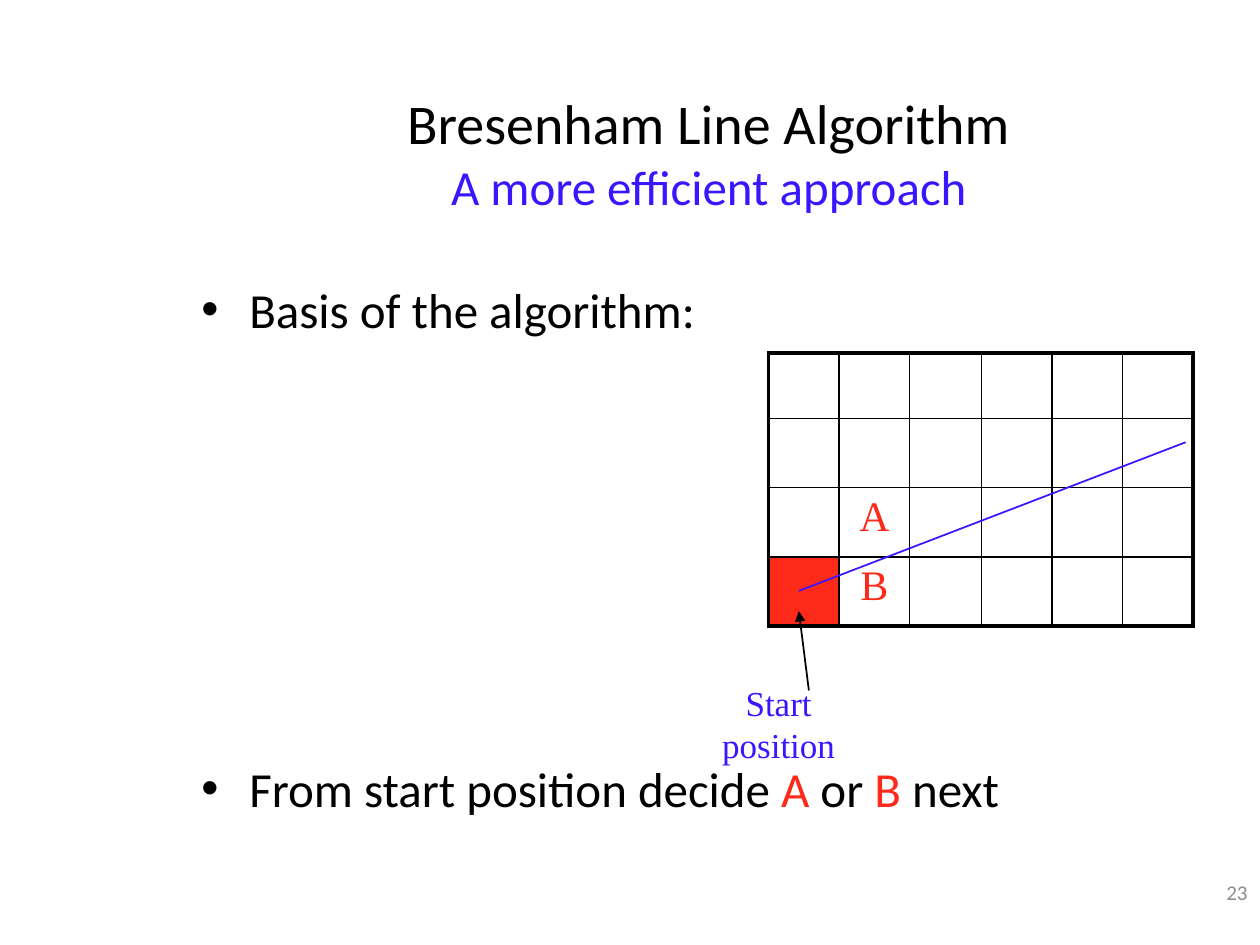
from lxml import etree
from pptx import Presentation
from pptx.dml.color import RGBColor
from pptx.enum.shapes import MSO_CONNECTOR
from pptx.enum.text import MSO_ANCHOR, PP_ALIGN
from pptx.oxml.ns import qn
from pptx.util import Inches, Pt

CENTER, LEFT, RIGHT = PP_ALIGN.CENTER, PP_ALIGN.LEFT, PP_ALIGN.RIGHT
TOP, MIDDLE = MSO_ANCHOR.TOP, MSO_ANCHOR.MIDDLE
STRAIGHT = MSO_CONNECTOR.STRAIGHT
COLORS = {"black": "000000", "blue": "3817FF", "red": "FD2919", "gray": "8C8C8C"}
SANS, SERIF = "Calibri", "Times New Roman"
TITLE_ONLY = 5
COLUMN_WIDTHS = [0.56, 0.56, 0.57, 0.56, 0.56, 0.56]
ROW_HEIGHTS = [0.52, 0.55, 0.55, 0.55]
THIN, THICK = 1, 2.25


def color(name):
    """Return the named colour."""
    return RGBColor.from_string(COLORS[name])


def add_run(paragraph, text, size, color_name="black", font=SANS):
    """Append one formatted run to a paragraph."""
    run = paragraph.add_run()
    run.text = text
    run.font.size = Pt(size)
    run.font.name = font
    run.font.color.rgb = color(color_name)


def add_text_box(slide, left, top, width, height, alignment=LEFT, anchor=TOP):
    """Add a wrapping text box and return its text frame."""
    box = slide.shapes.add_textbox(
        Inches(left), Inches(top), Inches(width), Inches(height))
    frame = box.text_frame
    frame.word_wrap = True
    frame.vertical_anchor = anchor
    frame.paragraphs[0].alignment = alignment
    return frame


def make_bullet(paragraph):
    """Give a paragraph a hanging round bullet."""
    properties = paragraph._p.get_or_add_pPr()
    properties.set("marL", str(Inches(0.38)))
    properties.set("indent", str(-Inches(0.38)))
    etree.SubElement(properties, qn("a:buFont"), typeface="Arial")
    etree.SubElement(properties, qn("a:buChar"), char="•")


def set_border(cell, side, width):
    """Draw one black border of a cell; side is L, R, T or B."""
    line = etree.SubElement(
        cell._tc.get_or_add_tcPr(), qn(f"a:ln{side}"), w=str(Pt(width)))
    fill = etree.SubElement(line, qn("a:solidFill"))
    etree.SubElement(fill, qn("a:srgbClr"), val=COLORS["black"])


def add_line(slide, start, end, color_name, arrow=False):
    """Add a thin straight line, with an arrowhead at its end if asked."""
    points = [Inches(value) for value in (*start, *end)]
    connector = slide.shapes.add_connector(STRAIGHT, *points)
    connector.line.color.rgb = color(color_name)
    connector.line.width = Pt(THIN)
    if arrow:
        etree.SubElement(
            connector.line._get_or_add_ln(), qn("a:tailEnd"), type="triangle")
    etree.SubElement(connector._element.spPr, qn("a:effectLst"))


def add_title(slide):
    """Place the title with its blue second line."""
    title = slide.shapes.title
    title.left, title.top = Inches(1.5), Inches(0.58)
    title.width, title.height = Inches(8.25), Inches(1.25)
    title.text_frame.vertical_anchor = MIDDLE
    paragraph = title.text_frame.paragraphs[0]
    paragraph.alignment = CENTER
    add_run(paragraph, "Bresenham Line Algorithm", 32)
    paragraph.add_line_break()
    add_run(paragraph, "A more efficient approach", 28, "blue")


def add_bullets(slide):
    """Add the two bullets, above and below the pixel grid."""
    frame = add_text_box(slide, 1.5, 2.17, 8.15, 4.5)
    basis = frame.paragraphs[0]
    add_run(basis, "Basis of the algorithm:", 28)
    decision = frame.add_paragraph()
    decision.space_before = Pt(240)
    for text, color_name in (
            ("From start position decide ", "black"), ("A", "red"),
            (" or ", "black"), ("B", "red"), (" next", "black")):
        add_run(decision, text, 28, color_name)
    for paragraph in (basis, decision):
        make_bullet(paragraph)


def add_pixel_grid(slide):
    """Add the pixel table with the start pixel and both candidates."""
    row_count, column_count = len(ROW_HEIGHTS), len(COLUMN_WIDTHS)
    last_row, last_column = row_count - 1, column_count - 1
    table = slide.shapes.add_table(
        row_count, column_count, Inches(6.1), Inches(2.8),
        Inches(sum(COLUMN_WIDTHS)), Inches(sum(ROW_HEIGHTS))).table
    table.first_row = table.horz_banding = False
    for column, width in zip(table.columns, COLUMN_WIDTHS):
        column.width = Inches(width)
    for row, height in zip(table.rows, ROW_HEIGHTS):
        row.height = Inches(height)
    for row in range(row_count):
        for column in range(column_count):
            cell = table.cell(row, column)
            outer_sides = {"L": column == 0, "R": column == last_column,
                           "T": row == 0, "B": row == last_row}
            for side, is_outer in outer_sides.items():
                set_border(cell, side, THICK if is_outer else THIN)
            cell.fill.background()
    start_fill = table.cell(last_row, 0).fill
    start_fill.solid()
    start_fill.fore_color.rgb = color("red")
    for row, letter in ((last_row - 1, "A"), (last_row, "B")):
        paragraph = table.cell(row, 1).text_frame.paragraphs[0]
        paragraph.alignment = CENTER
        add_run(paragraph, letter, 24, "red", SERIF)


def add_start_label(slide):
    """Add the label below the start pixel."""
    frame = add_text_box(slide, 5.63, 5.36, 1.1, 0.75, CENTER)
    frame.margin_left = frame.margin_right = Inches(0.05)
    add_run(frame.paragraphs[0], "Start position", 20, "blue", SERIF)


def add_slide_number(slide):
    """Add the page number at the lower right."""
    frame = add_text_box(slide, 7.92, 6.83, 2.08, 0.5, RIGHT, MIDDLE)
    add_run(frame.paragraphs[0], "23", 12, "gray")


def main():
    """Build and save the slide."""
    presentation = Presentation()
    presentation.slide_width, presentation.slide_height = Inches(10), Inches(7.5)
    slide = presentation.slides.add_slide(presentation.slide_layouts[TITLE_ONLY])
    add_title(slide)
    add_bullets(slide)
    add_pixel_grid(slide)
    add_slide_number(slide)
    add_line(slide, (6.34, 4.69), (9.41, 3.51), "blue")
    add_line(slide, (6.42, 5.48), (6.34, 4.85), "black", arrow=True)
    add_start_label(slide)
    presentation.save("out.pptx")


main()
